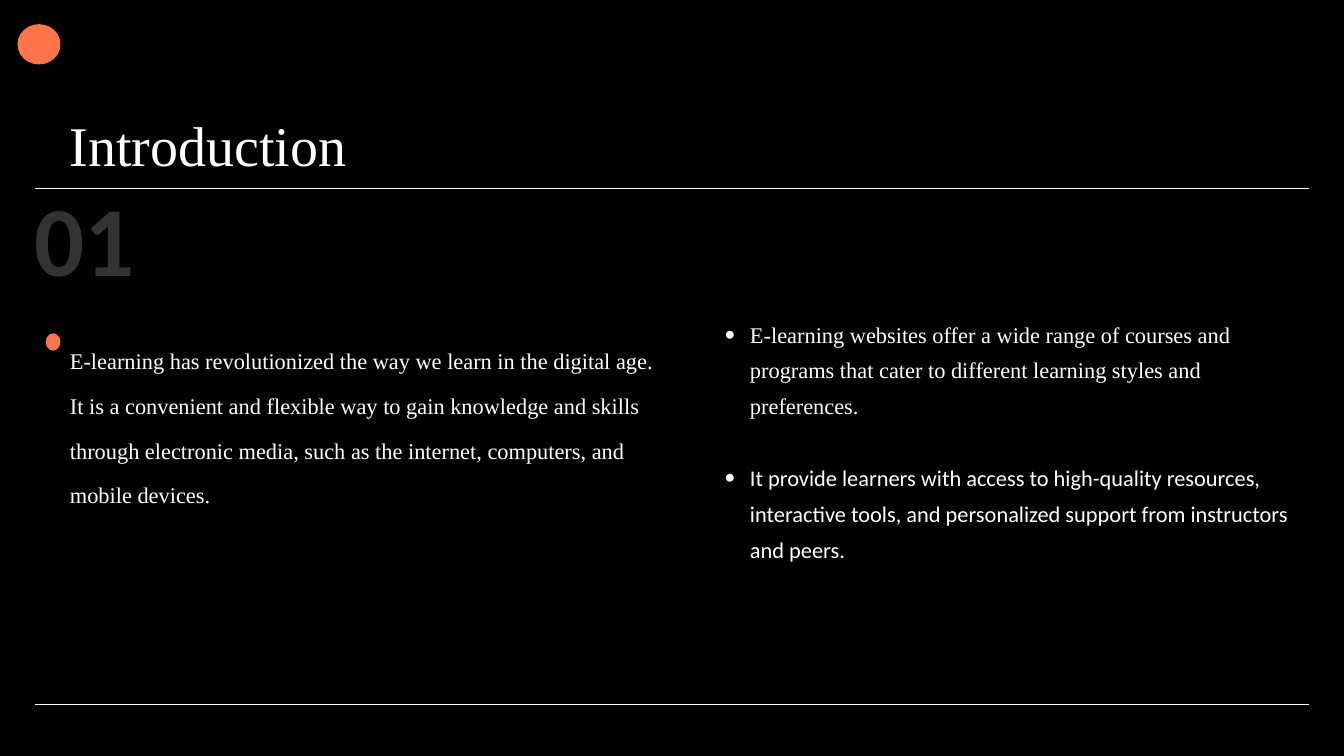
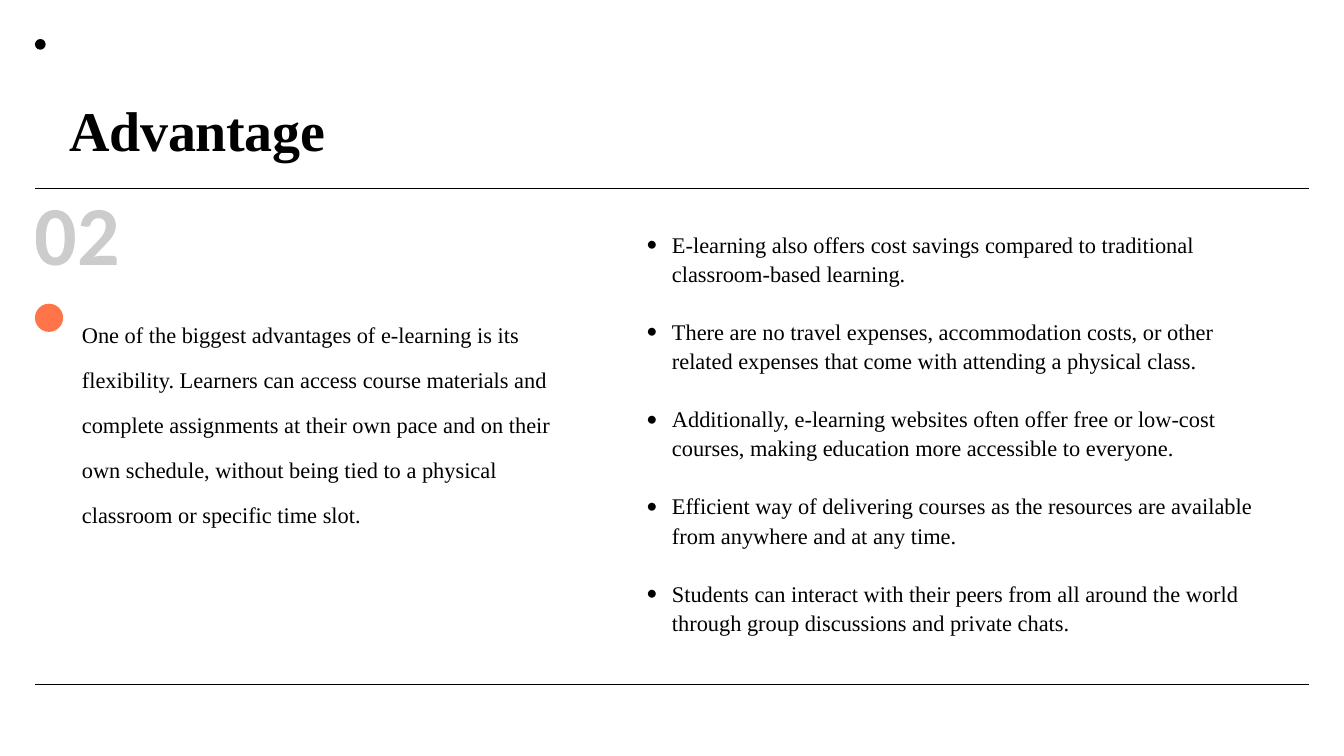
import pptx
import pptx.util
import pptx.dml.color
import pptx.enum.shapes
import pptx.oxml.ns
from lxml import etree

Inches = pptx.util.Inches
Pt = pptx.util.Pt
qn = pptx.oxml.ns.qn

COLORS = {"black": "000000", "white": "FFFFFF", "accent": "FF7448"}
SERIF, SANS = "Times New Roman", "Calibri"
WIDE = Inches(10)
EDGE, SPAN, RULE = 0.26, 9.48, 1.4
BODY, INDENT = 12, 0.19


def rgb(name):
    return pptx.dml.color.RGBColor.from_string(COLORS[name])


def add_text(slide, box, lines, ink, lead, size=BODY, bold=False, fonts=None):
    """Add a text box without margins, one paragraph per line, and return its frame."""
    frame = slide.shapes.add_textbox(*map(Inches, box)).text_frame
    frame.word_wrap = True
    frame.margin_left = frame.margin_right = 0
    frame.margin_top = frame.margin_bottom = 0
    frame.text = "\n".join(lines)
    for para, face in zip(frame.paragraphs, fonts or [SERIF] * len(lines)):
        para.line_spacing = Pt(lead)
        font = para.runs[0].font
        font.name, font.size, font.bold = face, Pt(size), bold
        font.color.rgb = rgb(ink)
    return frame


def add_rule(slide, top, ink):
    line = slide.shapes.add_connector(
        pptx.enum.shapes.MSO_CONNECTOR.STRAIGHT,
        Inches(EDGE), Inches(top), Inches(EDGE + SPAN), Inches(top))
    line.line.color.rgb = rgb(ink)
    line.line.width = Pt(0.42)
    etree.SubElement(line._element.spPr, qn("a:effectLst"))


def add_dot(slide, box, color):
    dot = slide.shapes.add_shape(
        pptx.enum.shapes.MSO_SHAPE.OVAL, *map(Inches, box))
    dot.shadow.inherit = False
    dot.fill.solid()
    dot.fill.fore_color.rgb = rgb(color)
    dot.line.fill.background()


def track(frame):
    """Tighten the letter spacing of a heading."""
    frame.paragraphs[0].runs[0].font._element.set("spc", "-20")


def add_number(slide, box, text, ink, size, lead):
    """Add the faded section number."""
    frame = add_text(slide, box, [text], ink, lead, size, True, [SANS])
    track(frame)
    color = frame.paragraphs[0].runs[0].font._element.find(".//" + qn("a:srgbClr"))
    etree.SubElement(color, qn("a:alpha"), val="20000")


def add_bullets(slide, box, lines, ink, lead, fonts=None):
    """Add bullets set one line apart."""
    frame = add_text(slide, box, lines, ink, lead, fonts=fonts)
    for index, para in enumerate(frame.paragraphs):
        if index:
            para.space_before = Pt(lead)
        props = para._p.get_or_add_pPr()
        props.set("marL", str(Inches(INDENT)))
        props.set("indent", str(-Inches(INDENT)))
        etree.SubElement(props, qn("a:buFont"), typeface=SANS)
        etree.SubElement(props, qn("a:buChar"), char="•")


def add_base(deck, paper, ink, foot, title, lead, bold):
    """Add a slide with its background, two rules and title."""
    slide = deck.slides.add_slide(deck.slide_layouts[6])
    slide.background.fill.solid()
    slide.background.fill.fore_color.rgb = rgb(paper)
    for top in (RULE, foot):
        add_rule(slide, top, ink)
    box = (2 * EDGE, 0.52, 8.96, lead / 72)
    frame = add_text(slide, box, [title], ink, lead, 30, bold)
    if bold:
        track(frame)
    return slide


def add_intro(deck):
    ink, lead = "white", 57.8
    slide = add_base(deck, "black", ink, 5.24, "Introduction", lead, False)
    add_number(slide, (EDGE, RULE, 0.92, 0.8), "01", ink, 53, lead)
    add_text(slide, (0.52, 2.45, 4.38, 1.33), [
        "E-learning has revolutionized the way we learn in the digital age. "
        "It is a convenient and flexible way to gain knowledge and skills "
        "through electronic media, such as the internet, computers, and "
        "mobile devices."], ink, 24)
    add_bullets(slide, (5.39, 2.32, 4.38, 4.27), [
        "E-learning websites offer a wide range of courses and programs that "
        "cater to different learning styles and preferences.",
        "It provide learners with access to high-quality resources, "
        "interactive tools, and personalized support from instructors and "
        "peers."], ink, 19.2, [SERIF, SANS])
    add_dot(slide, (0.13, 0.18, 0.32, 0.3), "accent")
    add_dot(slide, (0.34, 2.48, 0.11, 0.13), "accent")


def add_gains(deck):
    ink, lead = "black", 49.5
    slide = add_base(deck, "white", ink, 5.09, "Advantage", lead, True)
    add_number(slide, (EDGE, 1.41, 4.38, 0.69), "02", ink, 45, lead)
    add_text(slide, (0.61, 2.26, 3.63, 1.67), [
        "One of the biggest advantages of e-learning is its flexibility. "
        "Learners can access course materials and complete assignments at "
        "their own pace and on their own schedule, without being tied to a "
        "physical classroom or specific time slot."], ink, 24)
    add_bullets(slide, (4.81, 1.7, 4.57, 3.7), [
        "E-learning also offers cost savings compared to traditional "
        "classroom-based learning.",
        "There are no travel expenses, accommodation costs, or other related "
        "expenses that come with attending a physical class.",
        "Additionally, e-learning websites often offer free or low-cost "
        "courses, making education more accessible to everyone.",
        "Efficient way of delivering courses as the resources are available "
        "from anywhere and at any time.",
        "Students can interact with their peers from all around the world "
        "through group discussions and private chats."], ink, 15.6)
    add_dot(slide, (EDGE, 0.29, 0.08, 0.08), ink)
    add_dot(slide, (EDGE, 2.26, 0.21, 0.21), "accent")


def main():
    deck = pptx.Presentation()
    deck.slide_width, deck.slide_height = WIDE, WIDE * 9 // 16
    add_intro(deck)
    add_gains(deck)
    deck.save("out.pptx")


if __name__ == "__main__":
    main()
